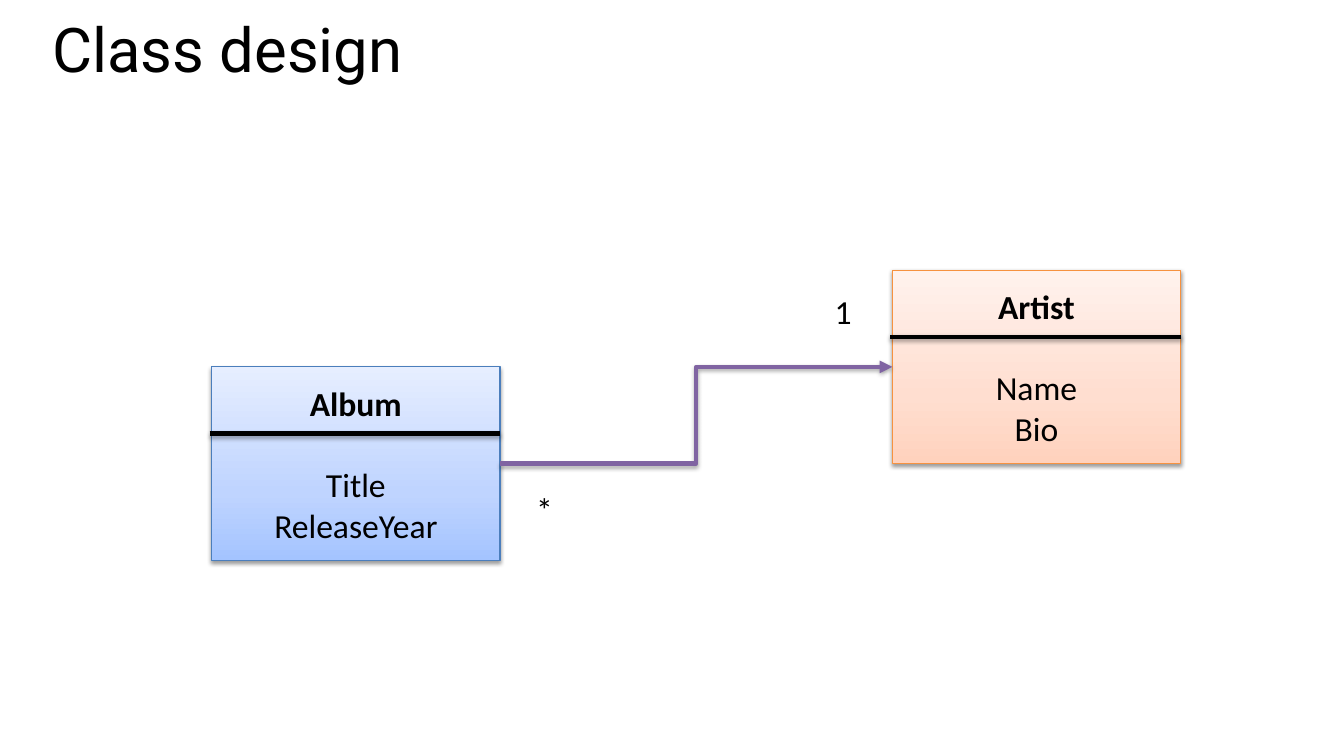
from lxml import etree
from pptx import Presentation
from pptx.dml.color import RGBColor
from pptx.enum.shapes import MSO_CONNECTOR, MSO_SHAPE
from pptx.enum.text import MSO_ANCHOR, MSO_AUTO_SIZE, PP_ALIGN
from pptx.oxml.ns import qn
from pptx.util import Inches, Pt

RECTANGLE = MSO_SHAPE.RECTANGLE
STRAIGHT, ELBOW = MSO_CONNECTOR.STRAIGHT, MSO_CONNECTOR.ELBOW
TOP, MIDDLE = MSO_ANCHOR.TOP, MSO_ANCHOR.MIDDLE
LEFT, CENTER = PP_ALIGN.LEFT, PP_ALIGN.CENTER
NO_AUTOFIT, GROW = MSO_AUTO_SIZE.NONE, MSO_AUTO_SIZE.SHAPE_TO_FIT_TEXT
LEFT_SITE, RIGHT_SITE = 1, 3

BLACK, PURPLE = "000000", "8064A2"
CLASS_SIZE = (2.86, 1.92)
DIVIDER_DROP = 0.66
DIVIDER_OVERHANG = 0.02
BLUE_STOPS = ((0, "A4C4FF"), (35, "BFD4FF"), (100, "E6EEFF"))
ORANGE_STOPS = ((0, "FFD2BD"), (35, "FFDED0"), (100, "FFF2ED"))


def color(value):
    """Turn a hex string into a colour."""
    return RGBColor.from_string(value)


def add_color(parent, value):
    """Append an XML colour element and return it."""
    return etree.SubElement(parent, qn("a:srgbClr"), val=value)


def add_shadow(effects, opacity, distance):
    """Put a soft downward shadow in an effect list."""
    shadow = etree.SubElement(
        effects, qn("a:outerShdw"), blurRad=str(Pt(3.1)),
        dist=str(Pt(distance)), dir="5400000", rotWithShape="0")
    etree.SubElement(add_color(shadow, BLACK), qn("a:alpha"), val=str(opacity * 1000))


def set_gradient(shape, stops):
    """Fill a shape with a gradient that rises from the bottom."""
    shape.fill.gradient()
    shape.fill.gradient_angle = 90
    stop_list = next(shape._element.iter(qn("a:gsLst")))
    for stop in list(stop_list):
        stop_list.remove(stop)
    for position, value in stops:
        stop = etree.SubElement(stop_list, qn("a:gs"), pos=str(position * 1000))
        add_color(stop, value)


def format_paragraph(paragraph, font_name, size, alignment=LEFT, bold=False):
    """Set the black font and alignment of a paragraph."""
    paragraph.alignment = alignment
    font = paragraph.font
    font.name, font.size, font.bold = font_name, Pt(size), bold
    font.color.rgb = color(BLACK)


def add_line(slide, kind, start, end, line_color):
    """Add a thick shadowed connector."""
    connector = slide.shapes.add_connector(
        kind, *(Inches(value) for value in (*start, *end)))
    connector.line.width = Pt(3)
    connector.line.color.rgb = color(line_color)
    effects = etree.SubElement(connector._element.spPr, qn("a:effectLst"))
    add_shadow(effects, 35, 1.8)
    return connector


def add_title(slide, text, left, top, width, height):
    """Place and format the slide title."""
    title = slide.shapes.title
    title.left, title.top = Inches(left), Inches(top)
    title.width, title.height = Inches(width), Inches(height)
    frame = title.text_frame
    frame.text = text
    frame.vertical_anchor = TOP
    frame.auto_size = NO_AUTOFIT
    paragraph = frame.paragraphs[0]
    paragraph.line_spacing = 0.8
    format_paragraph(paragraph, "Roboto", 44)


def add_class(slide, name, attributes, left, top, stops, outline):
    """Draw a class box with its name, divider and attributes."""
    width, height = CLASS_SIZE
    box = slide.shapes.add_shape(
        RECTANGLE, Inches(left), Inches(top), Inches(width), Inches(height))
    set_gradient(box, stops)
    box.line.color.rgb = color(outline)
    box.line.width = Pt(0.75)
    box.shadow.inherit = False
    add_shadow(box._element.spPr.find(qn("a:effectLst")), 38, 1.6)
    frame = box.text_frame
    frame.vertical_anchor = MIDDLE
    frame.text = "\n".join((name, *attributes))
    for index, paragraph in enumerate(frame.paragraphs):
        format_paragraph(paragraph, "Calibri", 24, CENTER, bold=index == 0)
    frame.paragraphs[1].space_before = Pt(29.3)
    divider = top + DIVIDER_DROP
    add_line(slide, STRAIGHT, (left - DIVIDER_OVERHANG, divider),
             (left + width, divider), BLACK)
    return box


def add_association(slide, source, target, start, end):
    """Join two class boxes with an elbow arrow."""
    arrow = add_line(slide, ELBOW, start, end, PURPLE)
    arrow.begin_connect(source, RIGHT_SITE)
    arrow.end_connect(target, LEFT_SITE)
    line = arrow._element.spPr.find(qn("a:ln"))
    etree.SubElement(line, qn("a:tailEnd"), type="triangle")


def add_multiplicity(slide, text, left, top, width, wrap):
    """Label one end of the association."""
    label = slide.shapes.add_textbox(
        Inches(left), Inches(top), Inches(width), Inches(0.5))
    frame = label.text_frame
    frame.text = text
    frame.word_wrap = wrap
    frame.auto_size = GROW
    format_paragraph(frame.paragraphs[0], "Calibri", 24)


def add_class_diagram(slide, left, top):
    """Draw the album and artist classes and their association."""
    width, height = CLASS_SIZE
    artist_left, album_top = left + 6.75, top + height / 2
    album = add_class(slide, "Album", ("Title", "ReleaseYear"),
                      left, album_top, BLUE_STOPS, "4B7EBC")
    artist = add_class(slide, "Artist", ("Name", "Bio"),
                       artist_left, top, ORANGE_STOPS, "F69240")
    add_association(slide, album, artist,
                    (left + width, album_top + height / 2), (artist_left, album_top))
    add_multiplicity(slide, "1", left + 6.08, top + 0.16, 0.37, wrap=False)
    add_multiplicity(slide, "*", left + 3.12, top + 2.12, 0.29, wrap=True)


presentation = Presentation()
presentation.slide_width, presentation.slide_height = Inches(13.33), Inches(7.5)
class_slide = presentation.slides.add_slide(presentation.slide_layouts[5])
add_title(class_slide, "Class design", 0.42, 0.2, 12.6, 1.16)
add_class_diagram(class_slide, 2.1, 2.68)
presentation.save("out.pptx")
